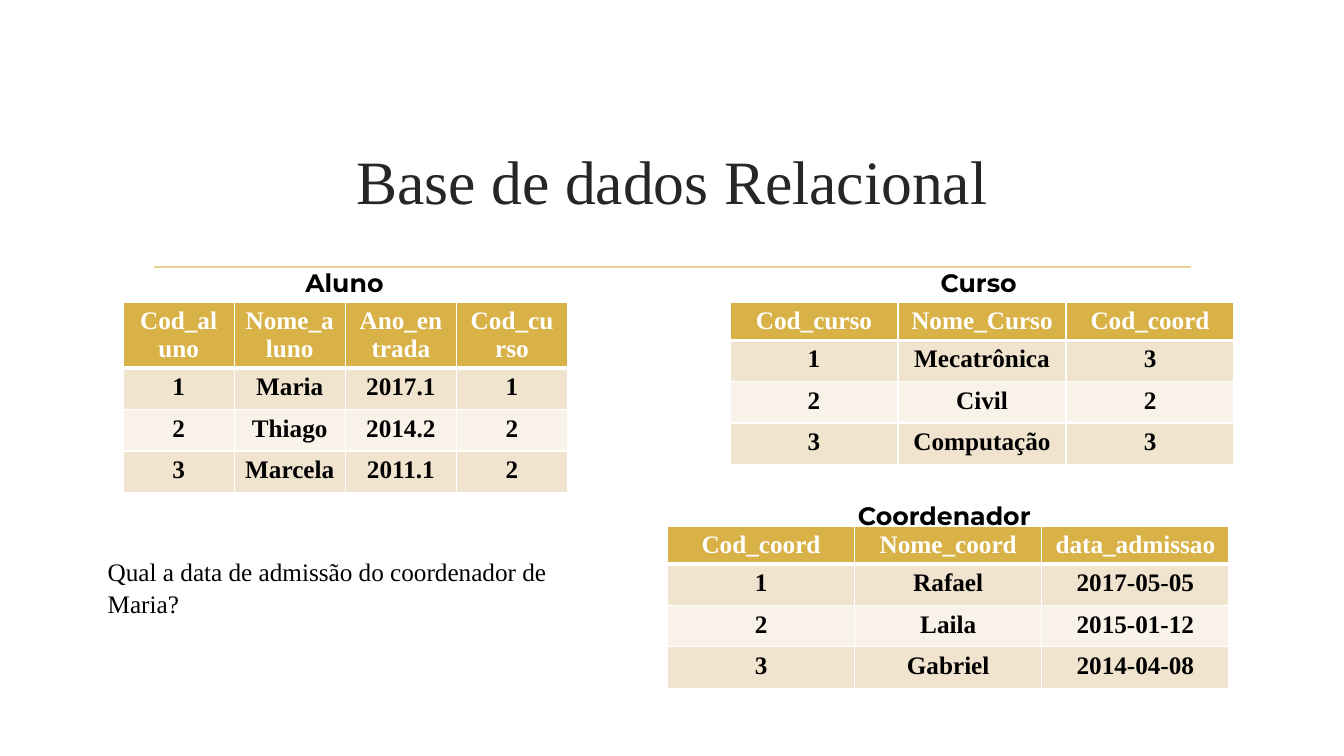
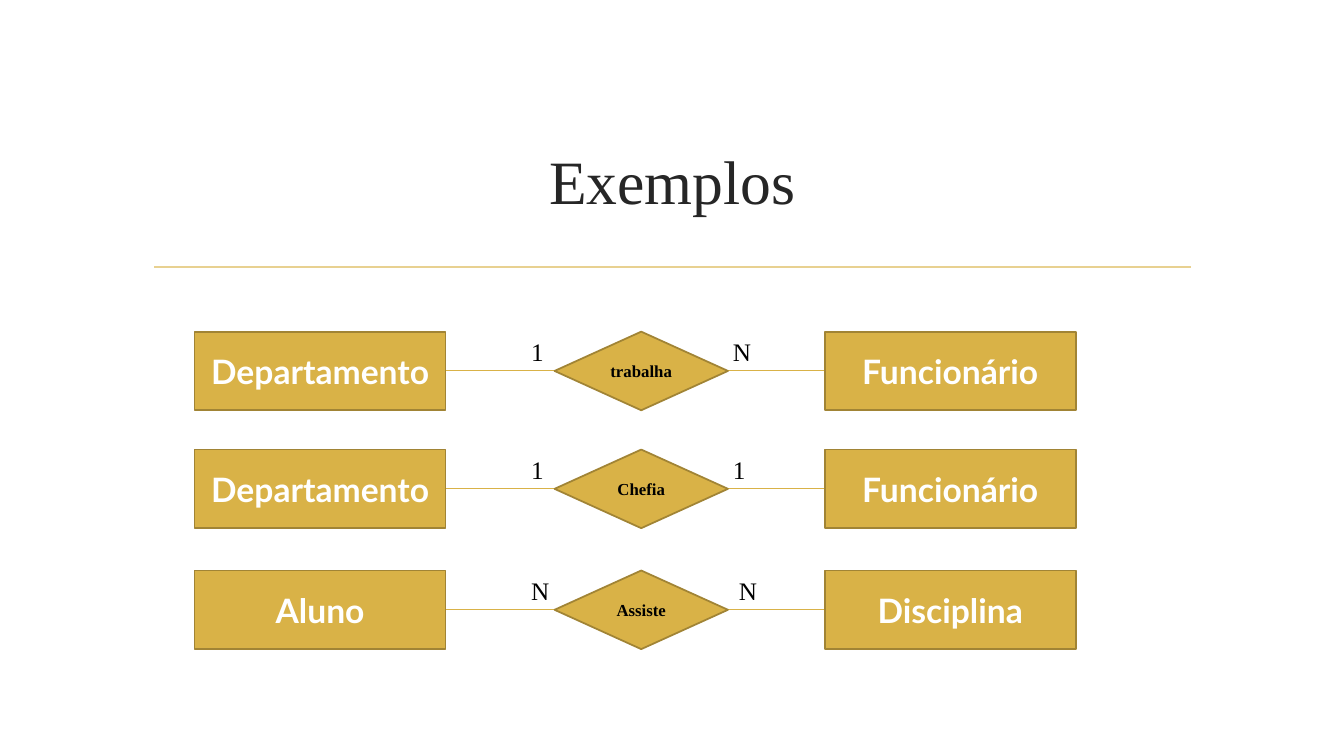
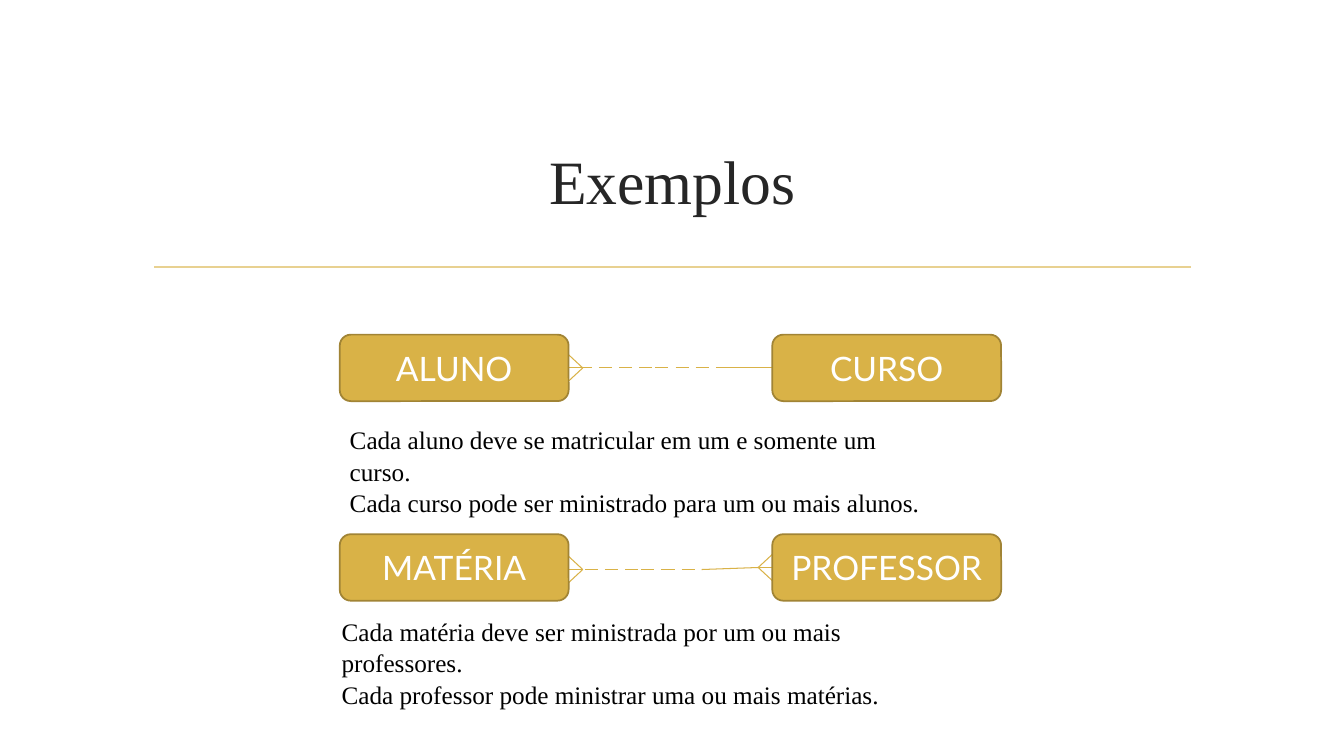
import lxml.etree
import pptx
import pptx.dml.color
import pptx.enum.shapes
import pptx.enum.text
import pptx.oxml.ns
import pptx.util

PX = 9144  # EMU in one px, 100 px to the inch
COLORS = {"text": "000000", "title": "262626", "white": "FFFFFF", "gold": "D9B247",
          "edge": "A18435", "rule": "E8D191", "band": "F1E4CF", "band_light": "F8F2E9"}
RGB = {k: pptx.dml.color.RGBColor.from_string(v) for k, v in COLORS.items()}
SERIF = "Times New Roman"
LEFT, CENTER = pptx.enum.text.PP_ALIGN.LEFT, pptx.enum.text.PP_ALIGN.CENTER
MIDDLE = pptx.enum.text.MSO_ANCHOR.MIDDLE
SHAPE = pptx.enum.shapes.MSO_SHAPE
qn = pptx.oxml.ns.qn

# Text styles: font values, colour, alignment, line spacing
STYLES = {
    "title": ({"name": SERIF, "size": 44, "bold": False}, "title", CENTER, 1.0),
    "head": ({"name": SERIF, "size": 18, "bold": True}, "white", CENTER, 1.0),
    "cell": ({"name": SERIF, "size": 18, "bold": True}, "text", CENTER, 1.0),
    "caption": ({"name": "Montserrat", "size": 18, "bold": True}, "text", LEFT, 1.0),
    "body": ({"name": SERIF, "size": 18, "bold": False}, "text", LEFT, 1.04),
    "entity": ({"name": "Lato", "size": 24, "bold": True}, "white", CENTER, 1.0),
    "entity_light": ({"name": "Lato", "size": 24, "bold": False}, "white", CENTER, 1.0),
    "relation": ({"name": SERIF, "size": 12, "bold": True}, "text", CENTER, 1.0),
}


def write(tf, text, style):
    font, color, align, spacing = STYLES[style]
    tf.word_wrap = True
    tf.text = text
    for p in tf.paragraphs:
        p.alignment = align
        p.line_spacing = spacing
        for r in p.runs:
            for name, value in font.items():
                setattr(r.font, name, pptx.util.Pt(value) if name == "size" else value)
            r.font.color.rgb = RGB[color]


def line(s, x1, y1, x2, y2, color="gold", width=0.75):
    c = s.shapes.add_connector(pptx.enum.shapes.MSO_CONNECTOR.STRAIGHT,
                               x1 * PX, y1 * PX, x2 * PX, y2 * PX)
    c.line.color.rgb = RGB[color]
    c.line.width = pptx.util.Pt(width)
    lxml.etree.SubElement(c.element.spPr, qn("a:effectLst"))


prs = pptx.Presentation()
prs.slide_width, prs.slide_height = 1333 * PX, 750 * PX

# Title and rule on every slide
slides = []
for title in ("Base de dados Relacional", "Exemplos", "Exemplos"):
    s = prs.slides.add_slide(prs.slide_layouts[5])
    sp = s.shapes.title
    sp.left, sp.top, sp.width, sp.height = 142 * PX, 107 * PX, 1050 * PX, 143 * PX
    write(sp.text_frame, title, "title")
    sp.text_frame.vertical_anchor = MIDDLE
    line(s, 153, 265, 1181, 265, "rule", 1.25)
    slides.append(s)
relational, chen, crow = slides

# Slide 1: tables
tables = [
    (122, 300, 441, [["Cod_aluno", "Nome_aluno", "Ano_entrada", "Cod_curso"],
                     ["1", "Maria", "2017.1", "1"],
                     ["2", "Thiago", "2014.2", "2"],
                     ["3", "Marcela", "2011.1", "2"]]),
    (724, 300, 500, [["Cod_curso", "Nome_Curso", "Cod_coord"],
                     ["1", "Mecatrônica", "3"],
                     ["2", "Civil", "2"],
                     ["3", "Computação", "3"]]),
    (662, 522, 557, [["Cod_coord", "Nome_coord", "data_admissao"],
                     ["1", "Rafael", "2017-05-05"],
                     ["2", "Laila", "2015-01-12"],
                     ["3", "Gabriel", "2014-04-08"]]),
]
for x, y, w, rows in tables:
    table = relational.shapes.add_table(len(rows), len(rows[0]), x * PX, y * PX,
                                        w * PX, 155 * PX).table
    for i, row in enumerate(rows):
        table.rows[i].height = (41 if i else 32) * PX
        for j, value in enumerate(row):
            cell = table.cell(i, j)
            write(cell.text_frame, value, "cell" if i else "head")
            # White borders, thicker below the header
            widths = {"a:lnL": 1, "a:lnR": 1, "a:lnT": 3 if i == 1 else 1,
                      "a:lnB": 1 if i else 3}
            tcPr = cell._tc.get_or_add_tcPr()
            for tag, width in widths.items():
                ln = lxml.etree.SubElement(tcPr, qn(tag), w=str(pptx.util.Pt(width)))
                fill = lxml.etree.SubElement(ln, qn("a:solidFill"))
                lxml.etree.SubElement(fill, qn("a:srgbClr"), val=COLORS["white"])
            cell.fill.solid()
            cell.fill.fore_color.rgb = RGB["gold" if i == 0 else "band" if i % 2 else "band_light"]

# Text boxes of slide 1
texts = [
    (relational, 293, 260, 99, 40, "Aluno", "caption"),
    (relational, 923, 260, 101, 40, "Curso", "caption"),
    (relational, 841, 491, 198, 40, "Coordenador", "caption"),
    (relational, 97, 546, 527, 71, "Qual a data de admissão do coordenador de Maria?", "body"),
]

# Slide 2: entity, relation, entity in each row
nodes = []
relations = [
    (329, "Departamento", "1", "trabalha", "N", 717, "Funcionário"),
    (446, "Departamento", "1", "Chefia", "1", 717, "Funcionário"),
    (566, "Aluno", "N", "Assiste", "N", 723, "Disciplina"),
]
for y, source, many_left, verb, many_right, right_x, target in relations:
    nodes += [(chen, SHAPE.RECTANGLE, 193, y, 249, 78, source, "entity"),
              (chen, SHAPE.RECTANGLE, 818, y, 249, 78, target, "entity"),
              (chen, SHAPE.FLOWCHART_DECISION, 550, y, 172, 78, verb, "relation")]
    texts += [(chen, 517, y - 1, 40, 40, many_left, "body"),
              (chen, right_x, y - 1, 40, 40, many_right, "body")]
    line(chen, 442, y + 39, 550, y + 39)
    line(chen, 722, y + 39, 818, y + 39)

# Slide 3: entities and their rules
for y, source, target in ((332, "ALUNO", "CURSO"), (530, "MATÉRIA", "PROFESSOR")):
    for x, name in ((337, source), (766, target)):
        nodes.append((crow, SHAPE.ROUNDED_RECTANGLE, x, y, 227, 66, name, "entity_light"))
texts += [
    (crow, 337, 415, 595, 101, "Cada aluno deve se matricular em um e somente um curso.\n"
     "Cada curso pode ser ministrado para um ou mais alunos.", "body"),
    (crow, 329, 605, 622, 101, "Cada matéria deve ser ministrada por um ou mais professores.\n"
     "Cada professor pode ministrar uma ou mais matérias.", "body"),
]

# Crow's feet, dashes and solid ends
for edge, tip, y in ((564, 578, 365), (564, 578, 565), (766, 752, 563)):
    for dy in (0, -13, 13):
        line(crow, tip, y, edge, y + dy)
line(crow, 578, 365, 587, 365)
for y, starts in ((365, (594, 614, 634, 650, 670, 690, 710)),
                  (565, (580, 600, 620, 636, 656, 676))):
    for x in starts:
        line(crow, x, y, x + 13, y)
line(crow, 766, 365, 723, 365)
line(crow, 752, 563, 696, 565)

# Draw the nodes
for s, kind, x, y, w, h, text, style in nodes:
    sp = s.shapes.add_shape(kind, x * PX, y * PX, w * PX, h * PX)
    sp.shadow.inherit = False
    sp.fill.solid()
    sp.fill.fore_color.rgb = RGB["gold"]
    sp.line.color.rgb = RGB["edge"]
    sp.line.width = pptx.util.Pt(1.25)
    write(sp.text_frame, text, style)
    sp.text_frame.vertical_anchor = MIDDLE

# Draw the text boxes
for s, x, y, w, h, text, style in texts:
    sp = s.shapes.add_textbox(x * PX, y * PX, w * PX, h * PX)
    write(sp.text_frame, text, style)

prs.save("out.pptx")
